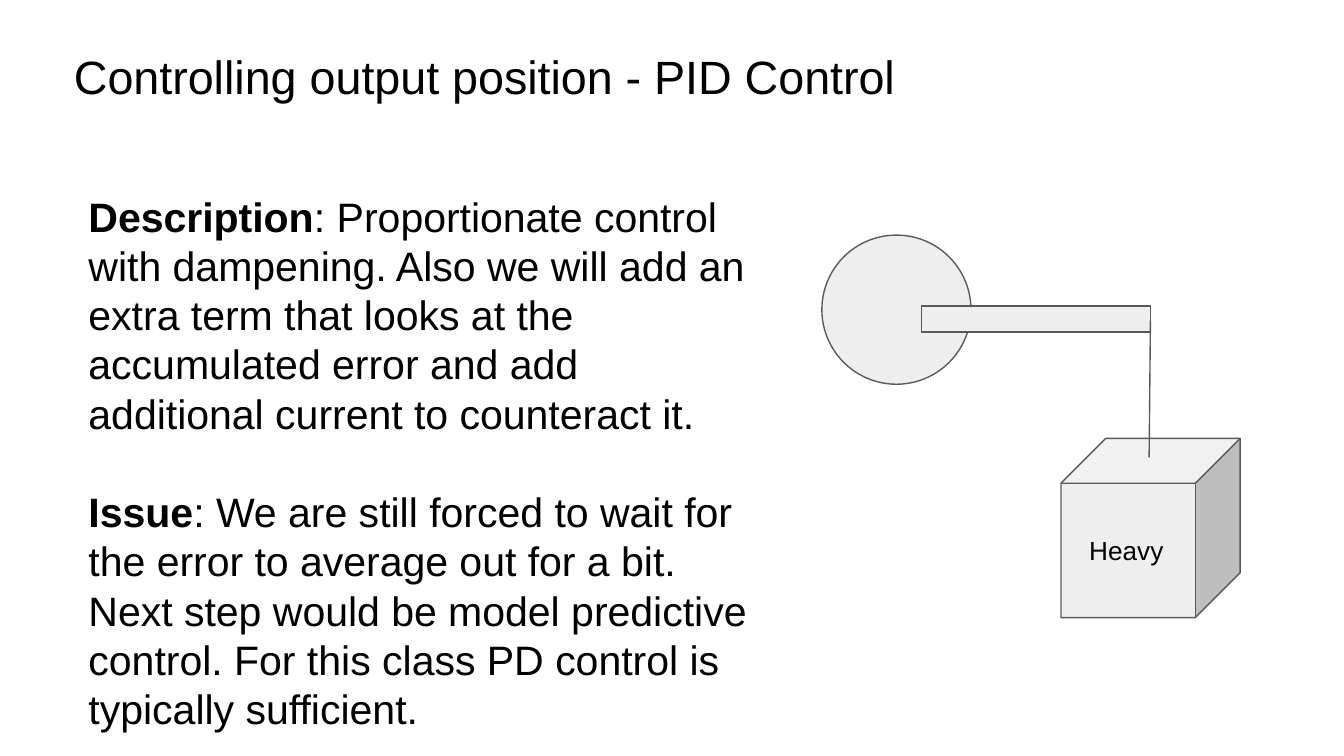
import dataclasses

import lxml.etree
import pptx
import pptx.dml.color
import pptx.enum.shapes
import pptx.enum.text
import pptx.oxml.ns
import pptx.util

WIDTH = 10
HEIGHT = WIDTH * 9 / 16
Kind = pptx.enum.shapes.MSO_SHAPE
Anchor = pptx.enum.text.MSO_ANCHOR


@dataclasses.dataclass(frozen=True)
class Theme:
    font: str = "Arial"
    ink: str = "000000"
    fill: str = "EEEEEE"
    outline: str = "595959"
    outline_width: float = 0.75
    title_size: int = 25
    body_size: int = 22
    label_size: int = 14
    inset: float = 0.1


@dataclasses.dataclass(frozen=True)
class Box:
    """Hold a place in percent of the slide's width and height."""
    left: float
    top: float
    width: float
    height: float

    def emu(self) -> list[int]:
        return [pptx.util.Inches(percent * side / 100) for percent, side in zip(
            (self.left, self.top, self.width, self.height), (WIDTH, HEIGHT) * 2)]


@dataclasses.dataclass(frozen=True)
class Part:
    kind: Kind
    box: Box
    label: str = ""


@dataclasses.dataclass(frozen=True)
class Note:
    heading: str
    body: str


THEME = Theme()
TITLE_BOX = Box(4.5, 4.5, 84, 11)
NOTES_BOX = Box(5.6, 23.5, 52.1, 82.7)
ROPE = Box(85.6, 42.4, -0.1, 18.1)
PARTS = [
    Part(Kind.OVAL, Box(61.15, 31.1, 11.1, 19.73)),
    Part(Kind.RECTANGLE, Box(68.55, 40.5, 17.05, 3.45)),
    Part(Kind.CUBE, Box(78.95, 58, 13.33, 23.7), "Heavy"),
]
NOTES = [
    Note("Description", ": Proportionate control with dampening. Also we will add an extra "
         "term that looks at the accumulated error and add additional current to counteract it."),
    Note("Issue", ": We are still forced to wait for the error to average out for a bit. Next "
         "step would be model predictive control. For this class PD control is typically "
         "sufficient."),
]


def rgb(code: str) -> pptx.dml.color.RGBColor:
    return pptx.dml.color.RGBColor.from_string(code)


def write(paragraph, text: str, *, size: int, bold: bool = False) -> None:
    paragraph.alignment = pptx.enum.text.PP_ALIGN.LEFT
    paragraph.line_spacing = 1.0
    run = paragraph.add_run()
    run.text = text
    run.font.name = THEME.font
    run.font.size = pptx.util.Pt(size)
    run.font.bold = bold
    run.font.color.rgb = rgb(THEME.ink)


def prepare(frame, anchor: Anchor, indent: float = 0) -> None:
    frame.word_wrap = True
    frame.auto_size = pptx.enum.text.MSO_AUTO_SIZE.NONE
    frame.vertical_anchor = anchor
    frame.margin_left = pptx.util.Inches(THEME.inset + indent)
    frame.margin_right = frame.margin_top = frame.margin_bottom = pptx.util.Inches(THEME.inset)


def outline(item) -> None:
    item.line.color.rgb = rgb(THEME.outline)
    item.line.width = pptx.util.Pt(THEME.outline_width)


def set_title(slide, text: str) -> None:
    title = slide.shapes.title
    title.left, title.top, title.width, title.height = TITLE_BOX.emu()
    prepare(title.text_frame, Anchor.TOP)
    write(title.text_frame.paragraphs[0], text, size=THEME.title_size)


def add_notes(slide, notes: list[Note]) -> None:
    frame = slide.shapes.add_textbox(*NOTES_BOX.emu()).text_frame
    prepare(frame, Anchor.TOP)
    for index, note in enumerate(notes):
        paragraph = frame.add_paragraph() if index else frame.paragraphs[0]
        if index:
            paragraph.space_before = pptx.util.Pt(THEME.body_size * 1.2)
        write(paragraph, note.heading, size=THEME.body_size, bold=True)
        write(paragraph, note.body, size=THEME.body_size)


def add_part(slide, part: Part) -> None:
    shape = slide.shapes.add_shape(part.kind, *part.box.emu())
    shape.shadow.inherit = False
    shape.fill.solid()
    shape.fill.fore_color.rgb = rgb(THEME.fill)
    outline(shape)
    if part.label:
        prepare(shape.text_frame, Anchor.MIDDLE, indent=0.11)
        write(shape.text_frame.paragraphs[0], part.label, size=THEME.label_size)


def add_rope(slide, box: Box) -> None:
    left, top, width, height = box.emu()
    rope = slide.shapes.add_connector(
        pptx.enum.shapes.MSO_CONNECTOR.STRAIGHT, left, top, left + width, top + height)
    outline(rope)
    properties = rope.element.find(pptx.oxml.ns.qn("p:spPr"))
    lxml.etree.SubElement(properties, pptx.oxml.ns.qn("a:effectLst"))


def main() -> None:
    """Build the PID control slide with its motor arm and hanging weight."""
    deck = pptx.Presentation()
    deck.slide_width = pptx.util.Inches(WIDTH)
    deck.slide_height = pptx.util.Inches(HEIGHT)
    slide = deck.slides.add_slide(deck.slide_layouts.get_by_name("Title Only"))
    set_title(slide, "Controlling output position - PID Control")
    add_notes(slide, NOTES)
    for part in PARTS:
        add_part(slide, part)
    add_rope(slide, ROPE)
    deck.save("out.pptx")


if __name__ == "__main__":
    main()
